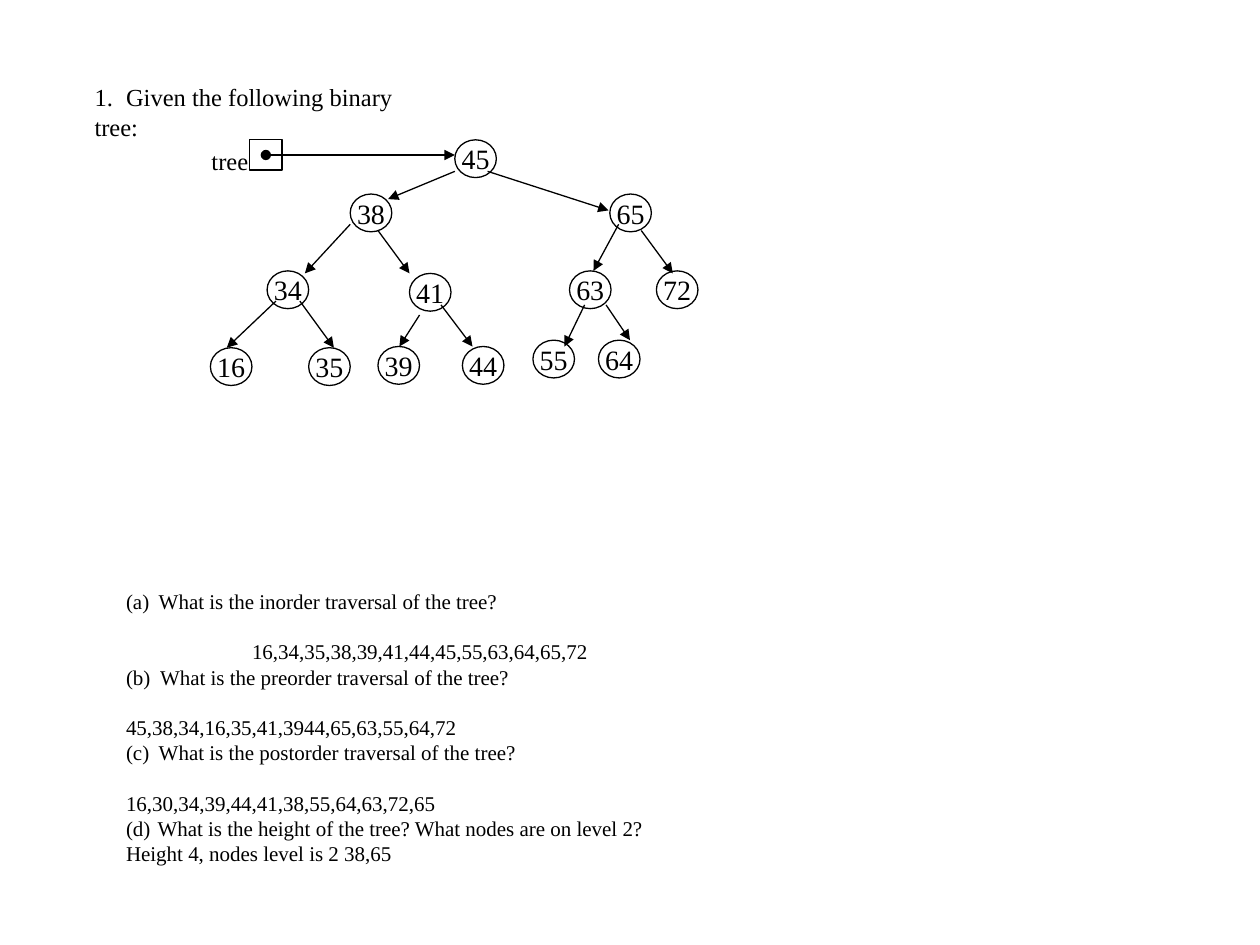
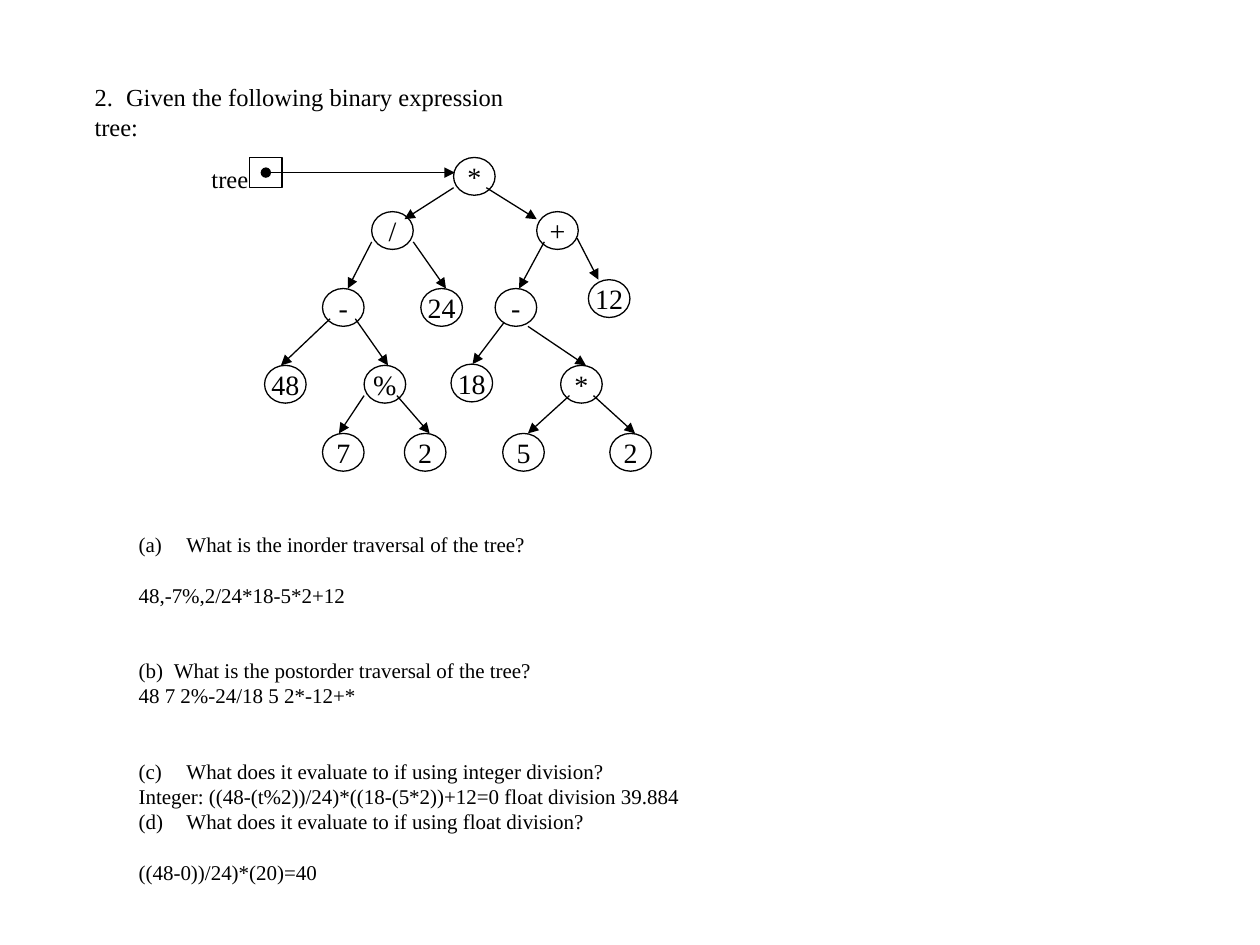
from lxml import etree
from pptx import Presentation
from pptx.dml.color import RGBColor
from pptx.enum.shapes import MSO_CONNECTOR, MSO_SHAPE
from pptx.enum.text import MSO_ANCHOR, MSO_AUTO_SIZE, PP_ALIGN
from pptx.oxml.ns import qn
from pptx.util import Inches, Pt

STRAIGHT = MSO_CONNECTOR.STRAIGHT
ELLIPSE, RECTANGLE = MSO_SHAPE.OVAL, MSO_SHAPE.RECTANGLE
TOP, MIDDLE = MSO_ANCHOR.TOP, MSO_ANCHOR.MIDDLE
LEFT, CENTER = PP_ALIGN.LEFT, PP_ALIGN.CENTER
NO_AUTOFIT = MSO_AUTO_SIZE.NONE

COLORS = {"ink": "000000"}
FONT = "Times New Roman"
LINE_WIDTH = 0.75
NODE_SIZE = (0.33, 0.3)
BODY_LINE = 14.4
TITLE_LINE = 17
TITLE_TAB = 0.25

SEARCH_TREE = [
    ("45", (2.03, 0), None, None),
    ("38", (1.2, 0.43), (2.03, 0.25), (1.5, 0.47)),
    ("65", (3.26, 0.43), (2.29, 0.25), (3.25, 0.56)),
    ("34", (0.54, 1.04), (1.2, 0.67), (0.84, 1.06)),
    ("41", (1.67, 1.06), (1.42, 0.72), (1.67, 1.06)),
    ("63", (2.94, 1.04), (3.33, 0.67), (3.13, 1.04)),
    ("72", (3.63, 1.04), (3.51, 0.72), (3.76, 1.06)),
    ("16", (0.09, 1.65), (0.61, 1.28), (0.22, 1.65)),
    ("35", (0.87, 1.65), (0.8, 1.28), (1.07, 1.65)),
    ("39", (1.42, 1.64), (1.75, 1.39), (1.59, 1.64)),
    ("44", (2.09, 1.64), (1.92, 1.31), (2.17, 1.64)),
    ("55", (2.65, 1.59), (3.06, 1.31), (2.9, 1.64)),
    ("64", (3.17, 1.59), (3.23, 1.31), (3.42, 1.59)),
]
EXPRESSION_TREE = [
    ("*", (2.02, 0), None, None),
    ("/", (1.37, 0.43), (2.02, 0.24), (1.63, 0.49)),
    ("+", (2.68, 0.43), (2.28, 0.24), (2.68, 0.49)),
    ("-", (0.98, 1.04), (1.37, 0.67), (1.18, 1.04)),
    ("24", (1.76, 1.04), (1.7, 0.67), (1.96, 1.04)),
    ("-", (2.35, 1.04), (2.74, 0.67), (2.54, 1.04)),
    ("12", (3.09, 0.97), (3, 0.64), (3.17, 0.97)),
    ("48", (0.52, 1.65), (1.04, 1.28), (0.65, 1.65)),
    ("%", (1.31, 1.65), (1.24, 1.28), (1.5, 1.65)),
    ("18", (2, 1.64), (2.42, 1.31), (2.17, 1.64)),
    ("*", (2.87, 1.65), (2.61, 1.34), (3.07, 1.65)),
    ("7", (0.98, 2.19), (1.31, 1.89), (1.11, 2.19)),
    ("2", (1.63, 2.19), (1.57, 1.89), (1.83, 2.19)),
    ("5", (2.41, 2.19), (2.94, 1.89), (2.61, 2.19)),
    ("2", (3.26, 2.19), (3.13, 1.89), (3.46, 2.19)),
]

# rows: question number or None, indent, blank lines before, text
SEARCH_QUESTIONS = [
    (1, 0.26, 0, "What is the inorder traversal of the tree?"),
    (None, 1, 1, "16,34,35,38,39,41,44,45,55,63,64,65,72"),
    (2, 0.27, 0, "What is the preorder traversal of the tree?"),
    (None, 0, 1, "45,38,34,16,35,41,3944,65,63,55,64,72"),
    (3, 0.26, 0, "What is the postorder traversal of the tree?"),
    (None, 0, 1, "16,30,34,39,44,41,38,55,64,63,72,65"),
    (4, 0.25, 0, "What is the height of the tree? What nodes are on level 2?"),
    (None, 0, 0, "Height 4, nodes level is 2 38,65"),
]
EXPRESSION_QUESTIONS = [
    (1, 0.38, 0, "What is the inorder traversal of the tree?"),
    (None, 0, 1, "48,-7%,2/24*18-5*2+12"),
    (2, 0.28, 2, "What is the postorder traversal of the tree?"),
    (None, 0, 0, "48 7 2%-24/18 5 2*-12+*"),
    (3, 0.38, 2, "What does it evaluate to if using integer division?"),
    (None, 0, 0, "Integer: ((48-(t%2))/24)*((18-(5*2))+12=0 float division 39.884"),
    (4, 0.38, 0, "What does it evaluate to if using float division?"),
    (None, 0, 1, "((48-0))/24)*(20)=40"),
]


def ink():
    return RGBColor.from_string(COLORS["ink"])


def set_font(para, size):
    para.font.name = FONT
    para.font.size = Pt(size)
    para.font.color.rgb = ink()


def place(shape, box):
    shape.left, shape.top, shape.width, shape.height = map(Inches, box)


def prepare_frame(shape):
    frame = shape.text_frame
    frame.word_wrap = True
    frame.auto_size = NO_AUTOFIT
    frame.vertical_anchor = TOP
    return frame


def add_title(page, box, text):
    title = page.shapes.title
    place(title, box)
    para = prepare_frame(title).paragraphs[0]
    para.text = text
    para.alignment = LEFT
    para.line_spacing = Pt(TITLE_LINE)
    stops = etree.SubElement(para._p.get_or_add_pPr(), qn("a:tabLst"))
    etree.SubElement(stops, qn("a:tab"), pos=str(Inches(TITLE_TAB)), algn="l")
    set_font(para, 14)


def set_list_format(para, number, indent):
    properties = para._p.get_or_add_pPr()
    properties.set("marL", str(Inches(indent)))
    properties.set("indent", str(-Inches(indent) if number else 0))
    if number:
        etree.SubElement(properties, qn("a:buFont"), typeface=FONT)
        etree.SubElement(properties, qn("a:buAutoNum"), type="alphaLcParenBoth", startAt=str(number))
    else:
        etree.SubElement(properties, qn("a:buNone"))


def add_questions(page, box, rows):
    body = page.placeholders[1]
    place(body, box)
    frame = prepare_frame(body)
    for index, (number, indent, gap, text) in enumerate(rows):
        para = frame.add_paragraph() if index else frame.paragraphs[0]
        para.text = text
        para.alignment = LEFT
        para.line_spacing = Pt(BODY_LINE)
        para.space_before = Pt(gap * BODY_LINE)
        set_list_format(para, number, indent)
        set_font(para, 12)


def add_outline(page, kind, left, top, width, height):
    shape = page.shapes.add_shape(kind, *map(Inches, (left, top, width, height)))
    shape.shadow.inherit = False
    shape.fill.background()
    shape.line.color.rgb = ink()
    shape.line.width = Pt(LINE_WIDTH)
    return shape


def add_node(page, left, top, text):
    frame = add_outline(page, ELLIPSE, left, top, *NODE_SIZE).text_frame
    frame.word_wrap = False
    frame.vertical_anchor = MIDDLE
    frame.margin_left = frame.margin_right = frame.margin_top = frame.margin_bottom = 0
    para = frame.paragraphs[0]
    para.text = text
    para.alignment = CENTER
    set_font(para, 16)


def add_arrow(page, left, top, start, end, dot=False):
    points = (left + start[0], top + start[1], left + end[0], top + end[1])
    arrow = page.shapes.add_connector(STRAIGHT, *map(Inches, points))
    arrow.line.color.rgb = ink()
    arrow.line.width = Pt(LINE_WIDTH)
    line = arrow.line._get_or_add_ln()
    if dot:
        etree.SubElement(line, qn("a:headEnd"), type="oval")
    etree.SubElement(line, qn("a:tailEnd"), type="triangle")
    etree.SubElement(arrow._element.spPr, qn("a:effectLst"))


def add_root_pointer(page, left, top):
    add_outline(page, RECTANGLE, left + 0.4, top, 0.26, 0.24)
    label = page.shapes.add_textbox(*map(Inches, (left, top, 0.49, 0.33)))
    label.text_frame.word_wrap = False
    para = label.text_frame.paragraphs[0]
    para.text = "tree"
    set_font(para, 14)
    add_arrow(page, left, top, (0.53, 0.12), (2.03, 0.12), dot=True)


def add_tree(page, left, top, nodes):
    for text, (across, down), start, end in nodes:
        add_node(page, left + across, top + down, text)
        if start:
            add_arrow(page, left, top, start, end)
    add_root_pointer(page, left, top)


def add_exercise(deck, title, title_width, tree_top, nodes, questions_box, rows):
    page = deck.slides.add_slide(deck.slide_layouts[1])
    add_title(page, (0.65, 0.6, title_width, 0.33), title)
    add_questions(page, questions_box, rows)
    add_tree(page, 1.58, tree_top, nodes)


def main():
    deck = Presentation()
    deck.slide_width, deck.slide_height = Inches(10), Inches(7.5)
    add_exercise(deck, "1.\tGiven the following binary tree:", 2.9, 1.11,
                 SEARCH_TREE, (0.9, 4.62, 5.29, 2.32), SEARCH_QUESTIONS)
    add_exercise(deck, "2.\tGiven the following binary expression tree:", 3.75, 1.25,
                 EXPRESSION_TREE, (1, 4.17, 4.54, 3.13), EXPRESSION_QUESTIONS)
    deck.save("out.pptx")


if __name__ == "__main__":
    main()
